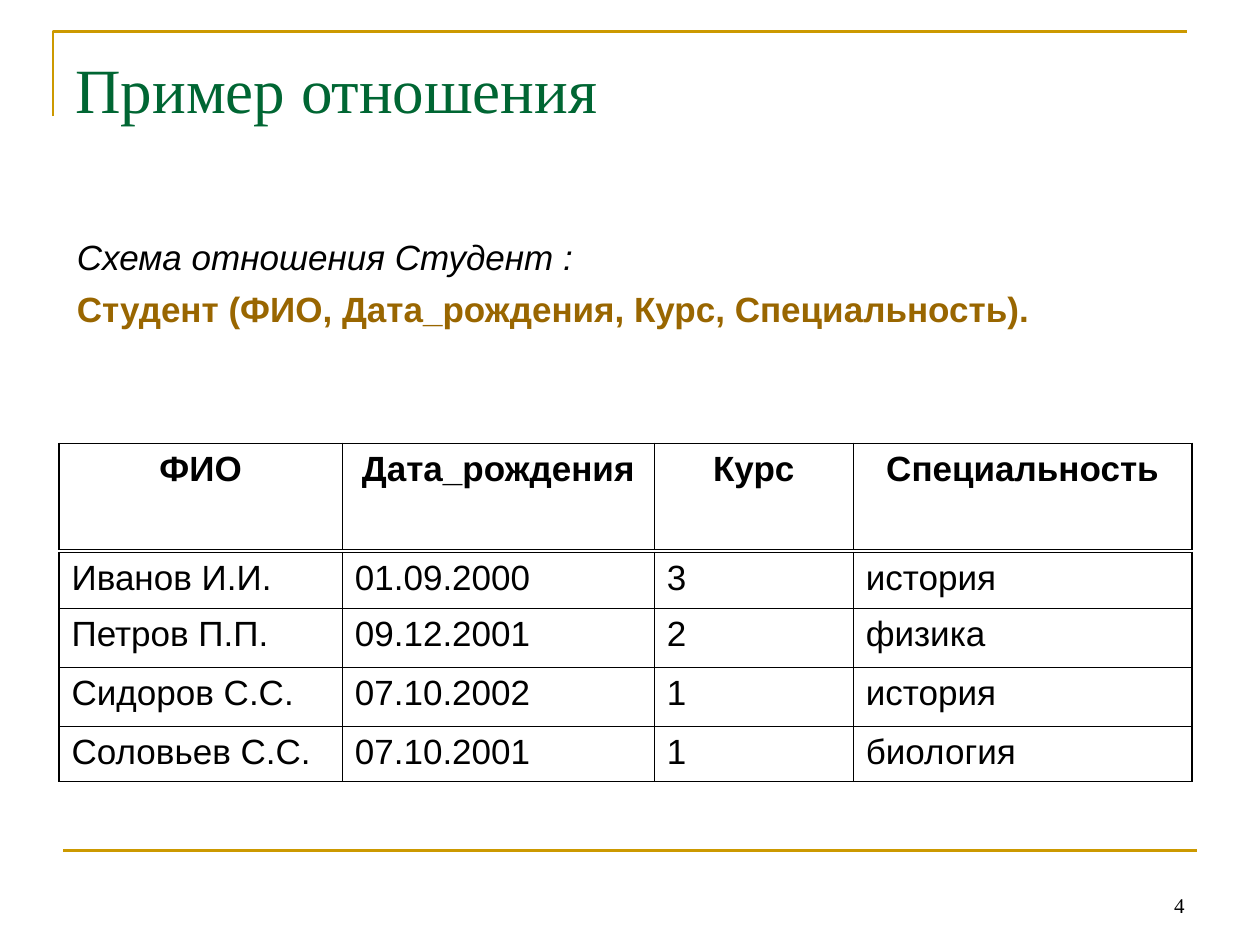
from lxml.etree import SubElement
from pptx import Presentation
from pptx.dml.color import RGBColor
from pptx.enum.shapes import MSO_CONNECTOR
from pptx.enum.text import MSO_ANCHOR, PP_ALIGN
from pptx.oxml import parse_xml
from pptx.oxml.ns import nsdecls, qn
from pptx.util import Cm, Pt

BLACK = RGBColor(0x00, 0x00, 0x00)
GREEN = RGBColor(0x00, 0x66, 0x33)
BROWN = RGBColor(0x99, 0x66, 0x00)
GOLD = RGBColor(0xCC, 0x99, 0x00)

TITLE = "Пример отношения"
SCHEMA_LABEL = "Схема отношения Студент :"
SCHEMA = "Студент (ФИО, Дата_рождения, Курс, Специальность)."
PAGE_NUMBER = "4"
HEADERS = [("ФИО", "Дата_рождения", "Курс", "Специальность")]
STUDENTS = [
    ("Иванов И.И.", "01.09.2000", "3", "история"),
    ("Петров П.П.", "09.12.2001", "2", "физика"),
    ("Сидоров С.С.", "07.10.2002", "1", "история"),
    ("Соловьев С.С.", "07.10.2001", "1", "биология"),
]

TABLE_LEFT = 1.19
COLUMN_WIDTHS = (5.71, 6.29, 4.01, 6.83)
HEADER_HEIGHTS = (2.13,)
STUDENT_HEIGHTS = (1.14, 1.19, 1.19, 1.09)
THIN, THICK = Pt(0.45), Pt(1.08)

TITLE_FONT = dict(name="Times New Roman", size=Pt(36), color=GREEN)
NUMBER_FONT = dict(name="Times New Roman", size=Pt(12), color=BLACK)
BODY_FONT = dict(name="Arial", size=Pt(20), color=BLACK)


def set_font(font, values):
    for name, value in values.items():
        if name == "color":
            font.color.rgb = value
        else:
            setattr(font, name, value)


def add_text(page, place, lines, para_format=None, **frame_format):
    """Add a text box; lines are pairs of text and font values."""
    box = page.shapes.add_textbox(*map(Cm, place))
    frame = box.text_frame
    frame.word_wrap = True
    for name, value in frame_format.items():
        setattr(frame, name, value)
    for index, (text, font) in enumerate(lines):
        para = frame.add_paragraph() if index else frame.paragraphs[0]
        span = para.add_run()
        span.text = text
        set_font(span.font, font)
        for name, value in (para_format or {}).items():
            setattr(para, name, value)
    return frame


def set_borders(cell, widths):
    """Draw black borders; widths are ordered left, right, top, bottom."""
    properties = cell._tc.get_or_add_tcPr()
    for position, (side, width) in enumerate(zip("LRTB", widths)):
        border = parse_xml(
            f'<a:ln{side} {nsdecls("a")} w="{width}"><a:solidFill>'
            f'<a:srgbClr val="{BLACK}"/></a:solidFill></a:ln{side}>')
        properties.insert(position, border)


def add_grid(page, top, rows, heights, font, align, thick_top, thick_bottom):
    table = page.shapes.add_table(
        len(rows), len(COLUMN_WIDTHS), Cm(TABLE_LEFT), Cm(top),
        Cm(sum(COLUMN_WIDTHS)), Cm(sum(heights))).table
    table.first_row = table.horz_banding = False
    for column, width in zip(table.columns, COLUMN_WIDTHS):
        column.width = Cm(width)
    for r, (values, height) in enumerate(zip(rows, heights)):
        table.rows[r].height = Cm(height)
        for c, value in enumerate(values):
            cell = table.cell(r, c)
            cell.fill.background()
            para = cell.text_frame.paragraphs[0]
            para.alignment = align
            span = para.add_run()
            span.text = value
            set_font(span.font, font)
            outer = (c == 0, c == len(values) - 1,
                     thick_top and r == 0,
                     thick_bottom and r == len(rows) - 1)
            set_borders(cell, [THICK if edge else THIN for edge in outer])


def add_frame_lines(page):
    builder = page.shapes.build_freeform(Cm(1.07), Cm(2.34), scale=1.0)
    builder.add_line_segments(
        [(Cm(1.07), Cm(0.64)), (Cm(23.93), Cm(0.64))], close=False)
    corner = builder.convert_to_shape()
    corner.shadow.inherit = False
    corner.fill.background()
    footer = page.shapes.add_connector(
        MSO_CONNECTOR.STRAIGHT, Cm(1.27), Cm(17.15), Cm(24.13), Cm(17.15))
    SubElement(footer._element.spPr, qn("a:effectLst"))
    for shape in (corner, footer):
        shape.line.color.rgb = GOLD
        shape.line.width = Pt(1.5)


def main():
    deck = Presentation()
    deck.slide_width, deck.slide_height = Cm(25.4), Cm(19.05)
    page = deck.slides.add_slide(deck.slide_layouts[6])

    add_frame_lines(page)
    add_text(page, (1.27, 0.76, 22.86, 3.18), [(TITLE, TITLE_FONT)],
             margin_top=Cm(0.25))
    add_grid(page, 11.13, STUDENTS, STUDENT_HEIGHTS, BODY_FONT,
             PP_ALIGN.LEFT, thick_top=False, thick_bottom=True)
    schema = add_text(
        page, (1.3, 4.93, 22.4, 1.78),
        [(SCHEMA_LABEL, BODY_FONT | dict(italic=True)),
         (SCHEMA, BODY_FONT | dict(bold=True, color=BROWN))],
        dict(line_spacing=0.6))
    schema.paragraphs[1].space_before = Pt(15)
    add_text(page, (18.21, 17.35, 5.92, 1.27), [(PAGE_NUMBER, NUMBER_FONT)],
             dict(alignment=PP_ALIGN.RIGHT), vertical_anchor=MSO_ANCHOR.BOTTOM)
    add_grid(page, 8.94, HEADERS, HEADER_HEIGHTS, BODY_FONT | dict(bold=True),
             PP_ALIGN.CENTER, thick_top=True, thick_bottom=False)

    deck.save("out.pptx")


if __name__ == "__main__":
    main()
